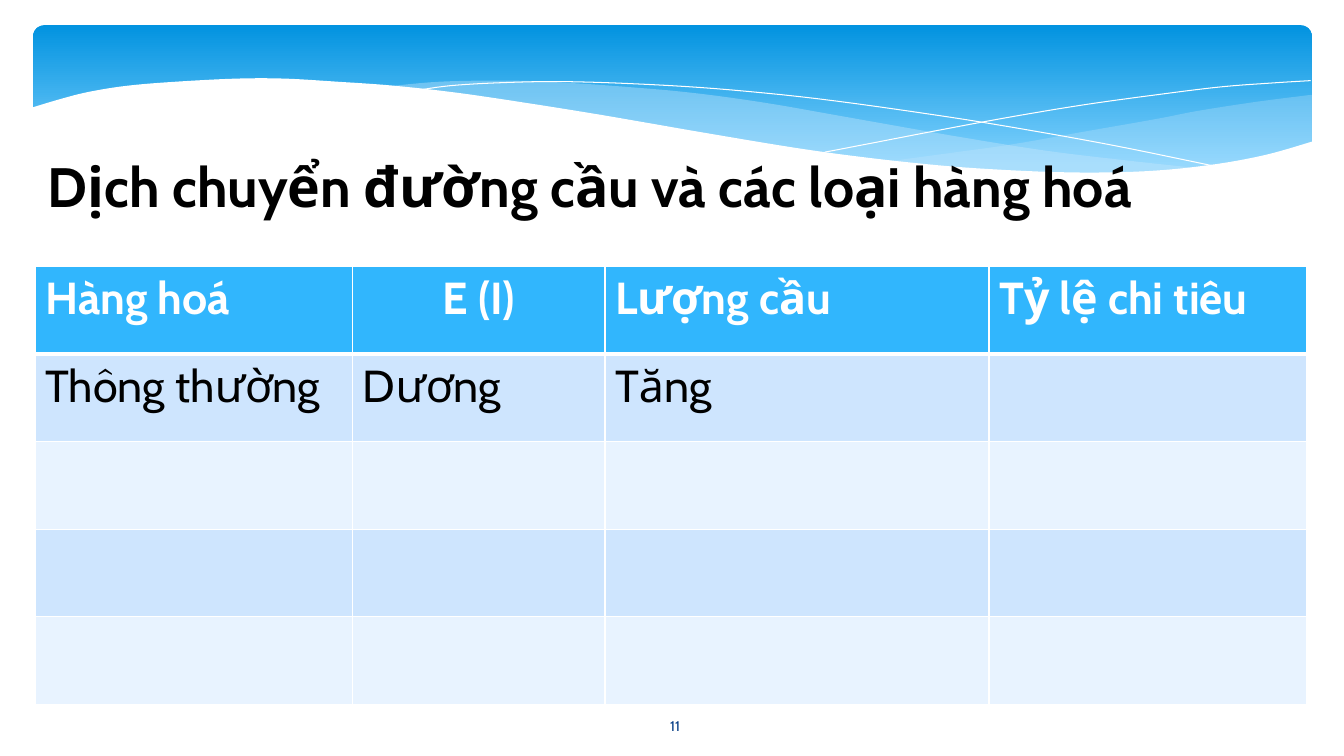
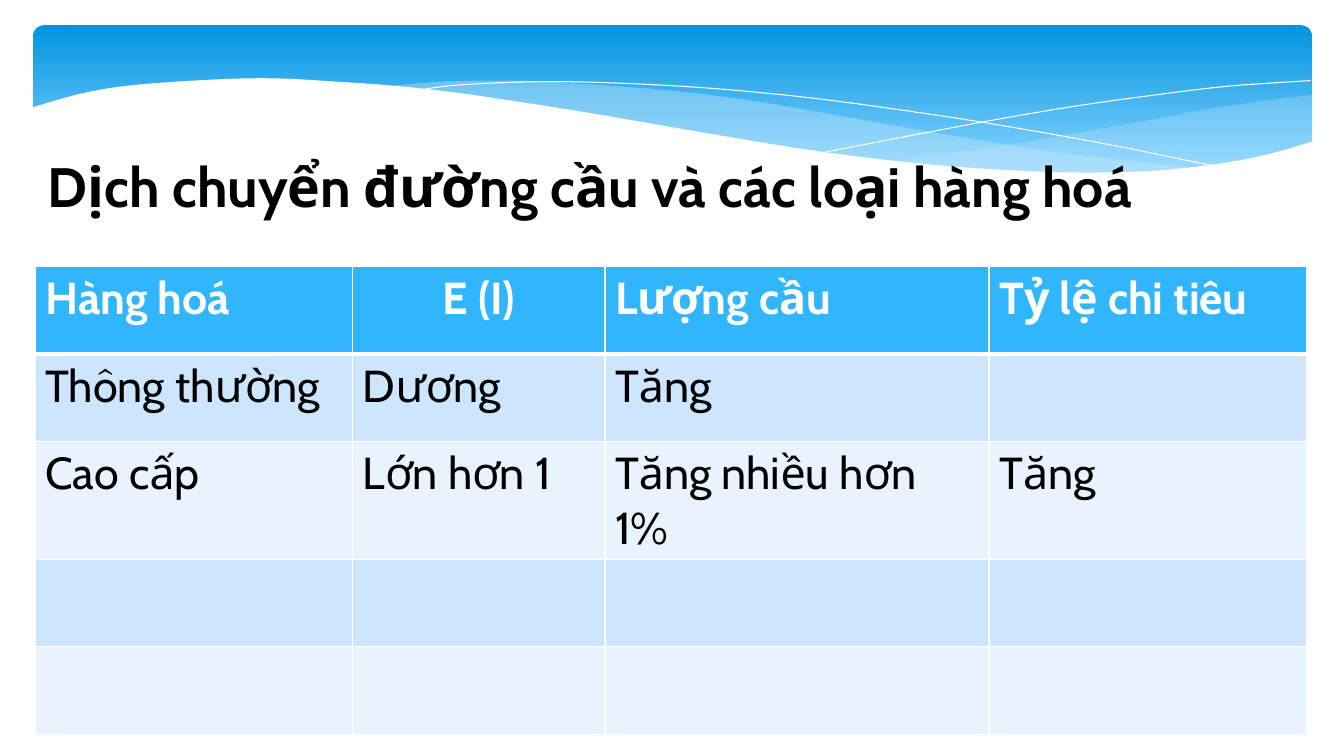
from dataclasses import dataclass

from lxml.etree import SubElement
from pptx import Presentation
from pptx.dml.color import RGBColor
from pptx.enum.shapes import MSO_SHAPE as Shape
from pptx.enum.text import MSO_ANCHOR as Anchor, PP_ALIGN as Align
from pptx.oxml.ns import qn
from pptx.util import Pt

PX = 9144  # EMU per px, 100 px to the inch


@dataclass(frozen=True)
class Theme:
    font: str = "Cabin"
    white: str = "FFFFFF"
    ink: str = "000000"
    navy: str = "073E87"
    sky: str = "0293E0"
    pale: str = "83D3FE"
    haze: str = "C6E7FC"
    head: str = "31B6FD"
    bands: tuple = ("CEE5FE", "E8F3FF")
    title: float = 39.6
    cell: int = 32
    foot: int = 10


T = Theme()

TITLE = "Dịch chuyển đường cầu và các loại hàng hoá"
HEADS = ["Hàng hoá", "E (I)", "Lượng cầu", "Tỷ lệ chi tiêu"]
NORMAL = ["Thông thường", "Dương", "Tăng", ""]
LUXURY = ["Cao cấp", "Lớn hơn 1", "Tăng nhiều hơn 1%", "Tăng"]
COLS = [315, 250, 381, 315]
ROWS, ROW = 5, 87

# Curves of the top band, as knots in px
RIGHT_TOP = [(1301, 94), (1246, 101), (1188, 110), (1147, 118), (1073, 131),
             (1005, 143), (941, 152), (882, 160)]
RIGHT_LOW = [(882, 160), (940, 165), (993, 169), (1041, 171), (1085, 172),
             (1126, 171), (1174, 167), (1218, 162), (1257, 154), (1301, 142)]
MID_TOP = [(1190, 167), (1116, 159), (1034, 149), (941, 134), (839, 116),
           (759, 102), (686, 92), (619, 86), (560, 82), (506, 80), (437, 81),
           (382, 86)]
MID_LOW = [(382, 86), (456, 94), (539, 106), (599, 116), (706, 135),
           (802, 150), (887, 161), (963, 168), (1030, 172), (1090, 173),
           (1143, 171), (1190, 167)]
FALL = [(412, 90), (447, 85), (499, 82), (555, 81), (625, 83), (710, 88),
        (811, 98), (927, 114), (1014, 128), (1108, 145), (1210, 166)]
RISE = [(818, 151), (870, 141), (927, 130), (997, 117), (1075, 104),
        (1155, 93), (1213, 86), (1267, 82), (1300, 80)]
EDGE = [(1303, 140), (1254, 154), (1198, 164), (1134, 170), (1058, 171),
        (969, 167), (891, 160), (804, 149), (706, 133), (596, 114),
        (521, 102), (453, 92), (390, 85), (333, 81), (282, 78), (235, 78),
        (176, 81), (127, 85), (89, 91), (61, 98), (31, 107)]
BASE = [(31, 224), (1303, 224)]


def rgb(code):
    return RGBColor.from_string(code)


def box(*sizes):
    return [size * PX for size in sizes]


def smooth(knots, steps=6):
    """Points of a Catmull-Rom curve through the knots."""
    ends = [knots[0], *knots, knots[-1]]
    points = [knots[0]]
    for a, b, c, d in zip(ends, ends[1:], ends[2:], ends[3:]):
        for step in range(1, steps + 1):
            t = step / steps
            points.append(tuple(
                (2 * q + (r - p) * t + (2 * p - 5 * q + 4 * r - s) * t ** 2
                 + (3 * q - p - 3 * r + s) * t ** 3) / 2
                for p, q, r, s in zip(a, b, c, d)))
    return points


def outline(slide, points, close):
    first, *rest = [(x * PX, y * PX) for x, y in points]
    pen = slide.shapes.build_freeform(*first)
    pen.add_line_segments(rest, close=close)
    shape = pen.convert_to_shape()
    shape.shadow.inherit = False
    return shape


def add_wave(slide, points, color, alpha=100):
    shape = outline(slide, points, True)
    shape.line.fill.background()
    shape.fill.solid()
    shape.fill.fore_color.rgb = rgb(color)
    if alpha < 100:
        tone = shape.fill._xPr.find(".//" + qn("a:srgbClr"))
        SubElement(tone, qn("a:alpha"), val=str(alpha * 1000))


def add_curve(slide, knots):
    shape = outline(slide, smooth(knots), False)
    shape.fill.background()
    shape.line.color.rgb = rgb(T.white)
    shape.line.width = Pt(0)


def add_band(slide):
    band = slide.shapes.add_shape(Shape.ROUNDED_RECTANGLE,
                                  *box(33, 25, 1268, 156))
    band.adjustments[0] = 0.07
    band.shadow.inherit = False
    band.line.fill.background()
    band.fill.gradient()
    band.fill.gradient_angle = 270
    stops = zip(band.fill.gradient_stops, (T.sky, T.pale), (0, 0.9))
    for stop, color, place in stops:
        stop.color.rgb = rgb(color)
        stop.position = place
    add_wave(slide, smooth(RIGHT_TOP) + smooth(RIGHT_LOW), T.haze, 29)
    add_wave(slide, smooth(MID_TOP) + smooth(MID_LOW), T.haze, 40)
    add_curve(slide, FALL)
    add_curve(slide, RISE)
    add_wave(slide, smooth(EDGE) + BASE, T.white)


def write(frame, text, size, color, bold=False, align=Align.LEFT):
    line = frame.paragraphs[0]
    line.text = text
    line.alignment = align
    font = line.font
    font.name, font.size, font.bold = T.font, Pt(size), bold
    font.color.rgb = rgb(color)


def add_text(slide, place, text, size, color, bold=False, anchor=Anchor.TOP):
    frame = slide.shapes.add_textbox(*box(*place)).text_frame
    frame.word_wrap = True
    frame.vertical_anchor = anchor
    write(frame, text, size, color, bold, Align.CENTER)


def rule(cell, top, bottom):
    """Draw white cell borders; top and bottom are widths in points."""
    props = cell._tc.get_or_add_tcPr()
    for side, width in zip("LRTB", (1, 1, top, bottom)):
        edge = SubElement(props, qn(f"a:ln{side}"), w=str(Pt(width)))
        fill = SubElement(edge, qn("a:solidFill"))
        SubElement(fill, qn("a:srgbClr"), val=T.white)


def add_grid(slide, rows):
    """Add the table; rows without text stay empty."""
    place = box(35, 264, sum(COLS), ROWS * ROW)
    table = slide.shapes.add_table(ROWS, len(COLS), *place).table
    table.first_row = table.horz_banding = False
    for col, width in zip(table.columns, COLS):
        col.width = width * PX
    blank = [[""] * len(COLS)] * (ROWS - 1 - len(rows))
    for i, texts in enumerate([HEADS, *rows, *blank]):
        head = i == 0
        for j, text in enumerate(texts):
            cell = table.cell(i, j)
            rule(cell, 3 if i == 1 else 1, 3 if head else 1)
            cell.fill.solid()
            cell.fill.fore_color.rgb = rgb(
                T.head if head else T.bands[(i - 1) % 2])
            align = Align.CENTER if head and j == 1 else Align.LEFT
            write(cell.text_frame, text, T.cell,
                  T.white if head else T.ink, head, align)


def add_slide(deck, rows, number=None):
    slide = deck.slides.add_slide(deck.slide_layouts[6])
    add_band(slide)
    if number:
        add_text(slide, (585, 700, 169, 40), number, T.foot, T.navy,
                 anchor=Anchor.MIDDLE)
    add_text(slide, (37, 146, 1096, 137), TITLE, T.title, T.ink, bold=True)
    add_grid(slide, rows)


def main():
    deck = Presentation()
    deck.slide_width, deck.slide_height = box(1333, 750)
    add_slide(deck, [NORMAL], "11")
    add_slide(deck, [NORMAL, LUXURY])
    deck.save("out.pptx")


if __name__ == "__main__":
    main()
